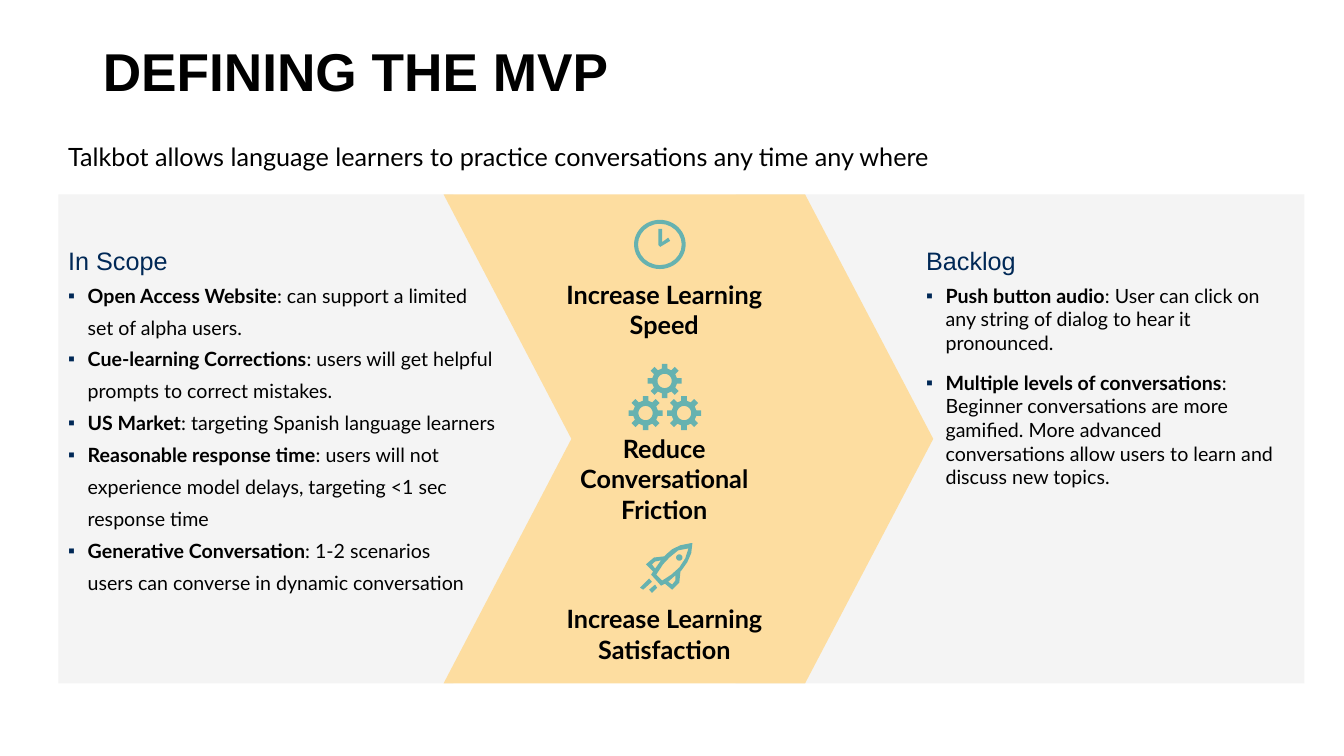
from dataclasses import dataclass
from math import cos, pi, sin

from lxml.etree import SubElement
from pptx import Presentation
from pptx.dml.color import RGBColor
from pptx.enum.shapes import MSO_SHAPE as Preset
from pptx.enum.text import MSO_ANCHOR as Anchor, MSO_AUTO_SIZE as AutoSize, PP_ALIGN as Align
from pptx.oxml.ns import qn
from pptx.util import Cm, Pt


@dataclass(frozen=True)
class Theme:
    """Colours, fonts and type sizes of the slide."""
    ink: str = "000000"
    navy: str = "002856"
    panel: str = "F4F4F4"
    sand: str = "FDDDA0"
    teal: str = "66B2B0"
    heading_font: str = "Arial"
    body_font: str = "Lato"
    title_size: int = 38
    lead_size: int = 18
    body_size: int = 14


THEME = Theme()
TOP, MIDDLE, BOTTOM = 4.9, 11.06, 17.22
HANGING = 0.49

IN_SCOPE = [
    ("Open Access Website", ": can support a limited", 6),
    ("", "set of alpha users.", 6),
    ("Cue-learning Corrections", ": users will get helpful", 6),
    ("", "prompts to correct mistakes.", 6),
    ("US Market", ": targeting Spanish language learners", 6),
    ("Reasonable response time", ": users will not", 6),
    ("", "experience model delays, targeting <1 sec", 6),
    ("", "response time", 6),
    ("Generative Conversation", ": 1-2 scenarios", 6),
    ("", "users can converse in dynamic conversation", 6),
]
BACKLOG = [
    ("Push button audio", ": User can click on any string of dialog to hear it pronounced.", 6),
    ("Multiple levels of conversations", ": Beginner conversations are more gamified. More advanced "
     "conversations allow users to learn and discuss new topics.", 12),
]
GOALS = [
    ("Increase Learning Speed", (14.02, 7.04, 5.44, 1.55)),
    ("Reduce Conversational Friction", (14.25, 10.92, 4.98, 2.31)),
    ("Increase Learning Satisfaction", (13.67, 15.21, 6.15, 1.55)),
]
RIGHT_PANEL = [(18.54, TOP), (32.87, TOP), (32.87, BOTTOM), (18.54, BOTTOM), (23.06, MIDDLE)]
CHEVRON = [(11.18, TOP), (20.29, TOP), (23.52, MIDDLE), (20.29, BOTTOM), (11.18, BOTTOM), (14.4, MIDDLE)]
CLOCK_HANDS = [(16.59, 5.77), (16.69, 5.77), (16.69, 6.1), (16.84, 5.99), (16.89, 6.07),
               (16.64, 6.22), (16.59, 6.17)]
GEAR_CENTRES = [(16.75, 9.6), (16.27, 10.41), (17.24, 10.41)]
ROCKET = [
    [(17.45, 13.69), (17.4, 13.69), (17.15, 13.74), (16.94, 13.84), (16.79, 13.97), (16.74, 14.02),
     (16.48, 14.05), (16.28, 14.22), (16.46, 14.4), (16.41, 14.48), (16.66, 14.76), (16.76, 14.71),
     (16.94, 14.86), (17.12, 14.68), (17.15, 14.4), (17.17, 14.38), (17.32, 14.17), (17.42, 13.94)],
    [(16.43, 14.22), (16.51, 14.15), (16.66, 14.12), (16.51, 14.33)],
    [(16.69, 14.63), (16.54, 14.48), (16.71, 14.22), (16.87, 14.05), (17.09, 13.87), (17.35, 13.82),
     (17.27, 14.07), (17.12, 14.3), (16.92, 14.48)],
    [(17.02, 14.63), (16.94, 14.73), (16.84, 14.66), (17.02, 14.5)],
    [(16.43, 14.66), (16.21, 14.86), (16.13, 14.81), (16.36, 14.58)],
    [(16.51, 14.73), (16.56, 14.81), (16.43, 14.94), (16.36, 14.86)],
]


def apply(target, values):
    """Set each attribute of the target from a dict."""
    for name, value in values.items():
        setattr(target, name, value)


def add_run(paragraph, text, size, font, color, bold=False):
    """Append a formatted run to the paragraph."""
    run = paragraph.add_run()
    run.text = text
    apply(run.font, {"size": Pt(size), "name": font, "bold": bold})
    run.font.color.rgb = RGBColor.from_string(color)


def set_frame(shape, insets, anchor=Anchor.TOP):
    """Format the text frame of the shape and return it."""
    left, top, right, bottom = map(Cm, insets)
    frame = shape.text_frame
    apply(frame, {"word_wrap": True, "auto_size": AutoSize.NONE, "vertical_anchor": anchor,
                  "margin_left": left, "margin_top": top, "margin_right": right, "margin_bottom": bottom})
    return frame


def paint(shape, color):
    """Give the shape a plain fill without line or shadow."""
    shape.shadow.inherit = False
    shape.fill.solid()
    shape.fill.fore_color.rgb = RGBColor.from_string(color)
    shape.line.fill.background()


def add_outline(slide, contours, color):
    """Draw closed contours as one filled freeform."""
    contours = [[(Cm(x), Cm(y)) for x, y in contour] for contour in contours]
    builder = slide.shapes.build_freeform(*contours[0][0], scale=1.0)
    for contour in contours:
        builder.move_to(*contour[0])
        builder.add_line_segments(contour[1:], close=True)
    paint(builder.convert_to_shape(), color)


def add_preset(slide, preset, box, adjustment, color):
    """Draw a filled preset shape with one adjustment."""
    shape = slide.shapes.add_shape(preset, *map(Cm, box))
    shape.adjustments[0] = adjustment
    paint(shape, color)
    return shape


def add_caption(slide, text, box, insets=(0, 0, 0, 0), align=Align.CENTER, bold=True):
    """Add a text box with one lead-size line."""
    frame = set_frame(slide.shapes.add_textbox(*map(Cm, box)), insets)
    frame.paragraphs[0].alignment = align
    add_run(frame.paragraphs[0], text, THEME.lead_size, THEME.body_font, THEME.ink, bold)


def add_bullet(paragraph):
    """Give the paragraph a navy square bullet."""
    properties = paragraph._p.get_or_add_pPr()
    SubElement(SubElement(properties, qn("a:buClr")), qn("a:srgbClr"), val=THEME.navy)
    SubElement(properties, qn("a:buFont"), typeface=THEME.heading_font)
    SubElement(properties, qn("a:buChar"), char="▪")


def fill_list(frame, heading, items):
    """Write a heading and its bulleted items."""
    frame.paragraphs[0].alignment = Align.LEFT
    add_run(frame.paragraphs[0], heading, THEME.lead_size, THEME.heading_font, THEME.navy)
    for term, text, space in items:
        paragraph = frame.add_paragraph()
        apply(paragraph, {"alignment": Align.LEFT, "space_before": Pt(space)})
        properties = paragraph._p.get_or_add_pPr()
        properties.set("marL", str(Cm(HANGING)))
        properties.set("indent", str(Cm(-HANGING if term else 0)))
        if term:
            add_bullet(paragraph)
            add_run(paragraph, term, THEME.body_size, THEME.body_font, THEME.ink, bold=True)
        add_run(paragraph, text, THEME.body_size, THEME.body_font, THEME.ink)


def circle(x, y, radius, count=32):
    """Return the points of a circle."""
    angles = [2 * pi * step / count for step in range(count)]
    return [(x + radius * cos(angle), y + radius * sin(angle)) for angle in angles]


def gear(x, y, root=0.31, tip=0.43, half_tooth=0.07, hole=0.18, teeth=8):
    """Return the rim and hole contours of a gear."""
    rim = []
    for tooth in range(teeth):
        angle = 2 * pi * tooth / teeth
        for out, side in ((root, -half_tooth), (tip, -half_tooth), (tip, half_tooth), (root, half_tooth)):
            rim.append((x + out * cos(angle) - side * sin(angle), y + out * sin(angle) + side * cos(angle)))
    return [rim, circle(x, y, hole)]


def format_title(slide, text):
    """Place and format the title placeholder."""
    title = slide.shapes.title
    apply(title, dict(zip(("left", "top", "width", "height"), map(Cm, (2.34, 0.03, 29.21, 3.68)))))
    paragraph = set_frame(title, (0.25, 0.13, 0.25, 0.13), Anchor.MIDDLE).paragraphs[0]
    apply(paragraph, {"alignment": Align.LEFT, "line_spacing": 0.9})
    add_run(paragraph, text, THEME.title_size, THEME.heading_font, THEME.ink, bold=True)


def main():
    """Build the slide and save it."""
    presentation = Presentation()
    apply(presentation, {"slide_width": Cm(33.87), "slide_height": Cm(19.05)})
    slide = presentation.slides.add_slide(presentation.slide_layouts[5])
    add_outline(slide, [RIGHT_PANEL], THEME.panel)
    format_title(slide, "DEFINING THE MVP")

    panel_size = (14.35, BOTTOM - TOP)
    scope = add_preset(slide, Preset.PENTAGON, (1.47, TOP, *panel_size), 0.357, THEME.panel)
    fill_list(set_frame(scope, (0.25, 1.27, 0.25, 0.13)), "In Scope", IN_SCOPE)
    backlog = slide.shapes.add_textbox(*map(Cm, (18.26, TOP, *panel_size)))
    fill_list(set_frame(backlog, (5.08, 1.27, 0.25, 0.13)), "Backlog", BACKLOG)

    add_outline(slide, [CHEVRON], THEME.sand)
    for text, box in GOALS:
        add_caption(slide, text, box)
    gears = [contour for centre in GEAR_CENTRES for contour in gear(*centre)]
    add_outline(slide, gears, THEME.teal)
    add_outline(slide, [*ROCKET, circle(17.12, 14.05, 0.08)], THEME.teal)
    add_preset(slide, Preset.DONUT, (15.98, 5.54, 1.3, 1.24), 0.08, THEME.teal)
    add_outline(slide, [CLOCK_HANDS], THEME.teal)
    add_caption(slide, "Talkbot allows language learners to practice conversations any time any where",
                (1.47, 3.43, 31.67, 1.02), (0.25, 0.13, 0.25, 0.13), Align.LEFT, bold=False)
    presentation.save("out.pptx")


if __name__ == "__main__":
    main()
